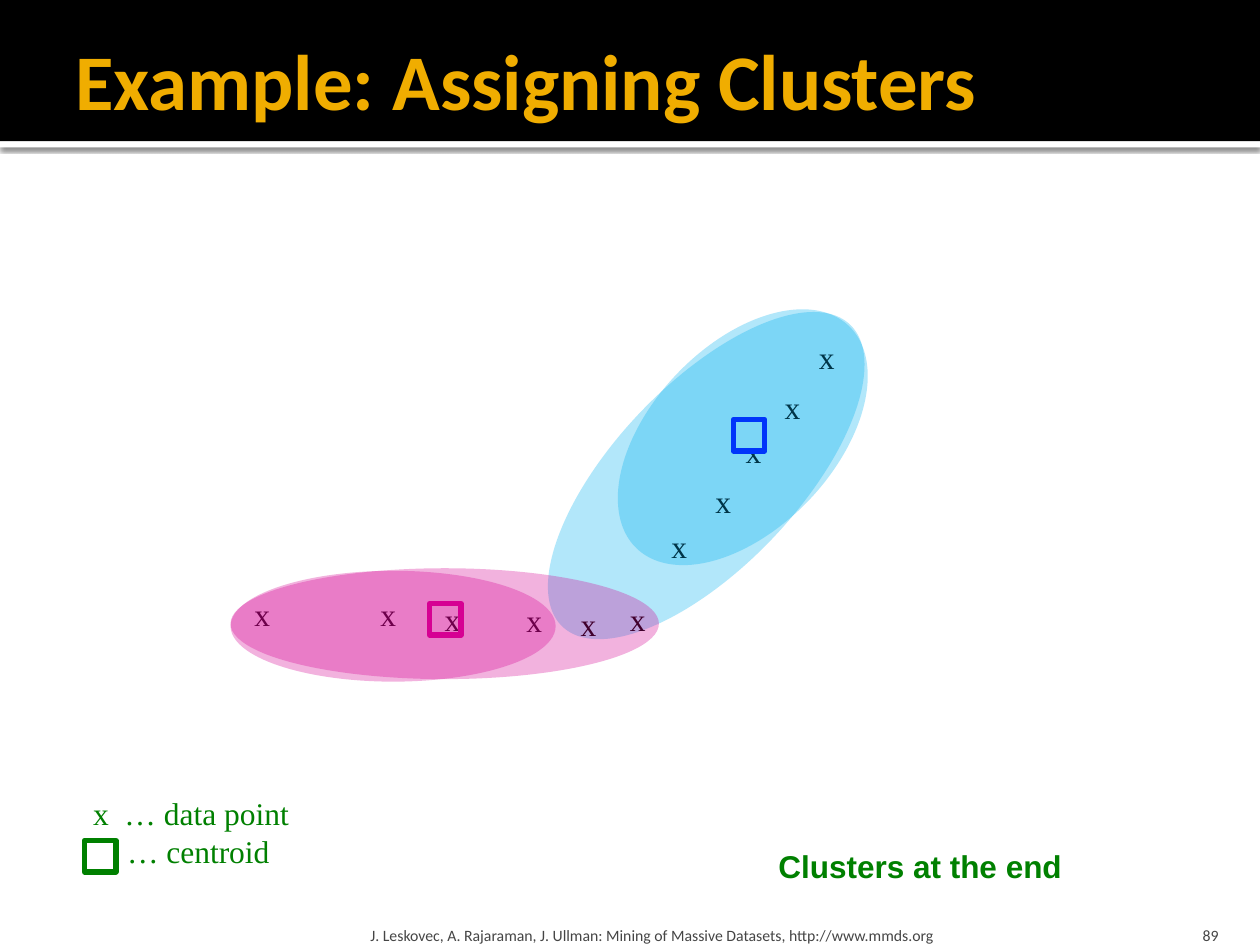
from lxml.etree import SubElement
from pptx import Presentation
from pptx.dml.color import RGBColor
from pptx.enum.shapes import MSO_SHAPE
from pptx.enum.text import MSO_ANCHOR, PP_ALIGN
from pptx.oxml.ns import qn
from pptx.util import Inches, Pt

COLORS = {
    "black": "000000",
    "white": "FFFFFF",
    "gold": "F0AD00",
    "gray": "454545",
    "green": "008000",
    "blue": "0000FF",
    "sky": "00B0F0",
    "magenta": "D60093",
}
SERIF = "Times New Roman"
SQUARE_SIZE = 0.25
POINTS = [
    (1.92, 4.67), (2.92, 4.67), (3.43, 4.71), (4.08, 4.72), (4.51, 4.75), (4.9, 4.71),
    (5.23, 4.13), (5.58, 3.78), (5.82, 3.38), (6.13, 3.03), (6.4, 2.63),
]
CENTROIDS = [(0.67, 6.67, "green"), (5.82, 3.33, "blue"), (3.41, 4.79, "magenta")]


def rgb(color):
    return RGBColor.from_string(COLORS[color])


def set_font(paragraph, name, size, color, bold=False):
    font = paragraph.font
    font.name, font.size, font.bold = name, Pt(size), bold
    font.color.rgb = rgb(color)


def add_filled(slide, kind, box, color):
    shape = slide.shapes.add_shape(kind, *map(Inches, box))
    shape.shadow.inherit = False
    shape.fill.solid()
    shape.fill.fore_color.rgb = rgb(color)
    shape.line.fill.background()
    return shape


def add_cluster(slide, box, color, rotation=0):
    """Add an ellipse at 30 % opacity."""
    ellipse = add_filled(slide, MSO_SHAPE.OVAL, box, color)
    ellipse.rotation = rotation
    fill_color = ellipse._element.spPr.find(qn("a:solidFill"))[0]
    SubElement(fill_color, qn("a:alpha"), val="30000")


def add_centroid(slide, left, top, color):
    box = (left, top, SQUARE_SIZE, SQUARE_SIZE)
    square = slide.shapes.add_shape(MSO_SHAPE.RECTANGLE, *map(Inches, box))
    square.shadow.inherit = False
    square.fill.background()
    square.line.color.rgb = rgb(color)
    square.line.width = Pt(3)


def add_text(slide, box, lines, name, size, color, bold=False, wrap=False):
    text_box = slide.shapes.add_textbox(*map(Inches, box))
    frame = text_box.text_frame
    frame.word_wrap = wrap
    frame.text = "\n".join(lines)
    for paragraph in frame.paragraphs:
        set_font(paragraph, name, size, color, bold)
    return frame


def add_header(slide):
    """Add the black band with its shadowed white edge, and the title above them."""
    edge = add_filled(slide, MSO_SHAPE.RECTANGLE, (0, 1.12, 10, 0.05), "white")
    shadow = SubElement(
        edge._element.spPr.find(qn("a:effectLst")), qn("a:outerShdw"),
        blurRad=str(Pt(2.5)), dist=str(Pt(0.8)), dir="5400000", algn="tl", rotWithShape="0",
    )
    shadow_color = SubElement(shadow, qn("a:srgbClr"), val=COLORS["black"])
    SubElement(shadow_color, qn("a:alpha"), val="60000")
    add_filled(slide, MSO_SHAPE.RECTANGLE, (0, 0, 10, 1.12), "black")

    title = slide.shapes.title
    title.left, title.top, title.width, title.height = map(Inches, (0.5, 0.17, 9, 0.92))
    frame = title.text_frame
    frame.text = "Example: Assigning Clusters"
    frame.vertical_anchor = MSO_ANCHOR.MIDDLE
    frame.margin_left = Inches(0.1)
    frame.margin_right = Inches(0.05)
    frame.paragraphs[0].alignment = PP_ALIGN.LEFT
    set_font(frame.paragraphs[0], "Calibri", 45, "gold", bold=True)
    slide.shapes._spTree.append(title._element)


def add_footer(slide, box, text, left_margin, alignment):
    frame = add_text(slide, box, [text], "Calibri", 9, "gray", wrap=True)
    frame.vertical_anchor = MSO_ANCHOR.BOTTOM
    frame.margin_left = Inches(left_margin)
    frame.margin_bottom = 0
    frame.paragraphs[0].alignment = alignment


def add_legend(slide):
    lines = ["x  … data point", "… centroid"]
    legend = add_text(slide, (0.64, 6.25, 1.77, 0.71), lines, SERIF, 18, "green")
    legend.paragraphs[1]._p.get_or_add_pPr().set("marL", str(Inches(0.27)))


def main():
    presentation = Presentation()
    presentation.slide_width, presentation.slide_height = Inches(10), Inches(7.5)
    slide = presentation.slides.add_slide(presentation.slide_layouts[5])

    add_header(slide)
    add_cluster(slide, (4.88, 2.12, 1.45, 3.31), "sky", 43.6)
    for left, top in POINTS:
        add_text(slide, (left, top, 0.33, 0.4), ["x"], SERIF, 18, "black")
    add_legend(slide)
    for centroid in CENTROIDS:
        add_centroid(slide, *centroid)
    add_cluster(slide, (1.83, 4.53, 2.58, 0.88), "magenta")
    add_cluster(slide, (1.83, 4.51, 3.4, 0.88), "magenta")
    add_cluster(slide, (5.17, 2.25, 1.45, 2.44), "sky", 43.6)
    add_text(slide, (6.08, 6.67, 2.47, 0.4), ["Clusters at the end"], "Arial", 18, "green", bold=True)

    source = "J. Leskovec, A. Rajaraman, J. Ullman: Mining of Massive Datasets, http://www.mmds.org"
    add_footer(slide, (2.89, 7.2, 6.02, 0.3), source, 0.05, PP_ALIGN.LEFT)
    add_footer(slide, (8.97, 7.2, 0.8, 0.3), "89", 0.1, PP_ALIGN.RIGHT)
    presentation.save("out.pptx")


if __name__ == "__main__":
    main()
